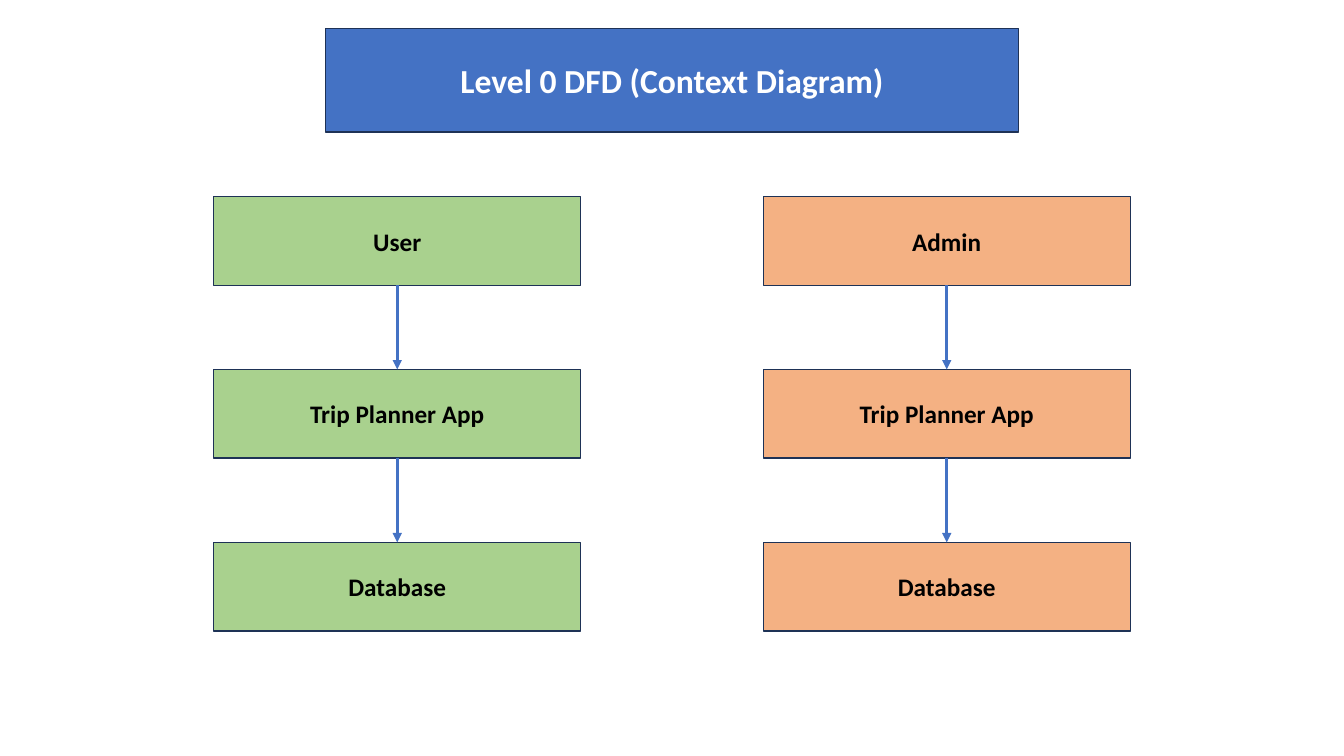
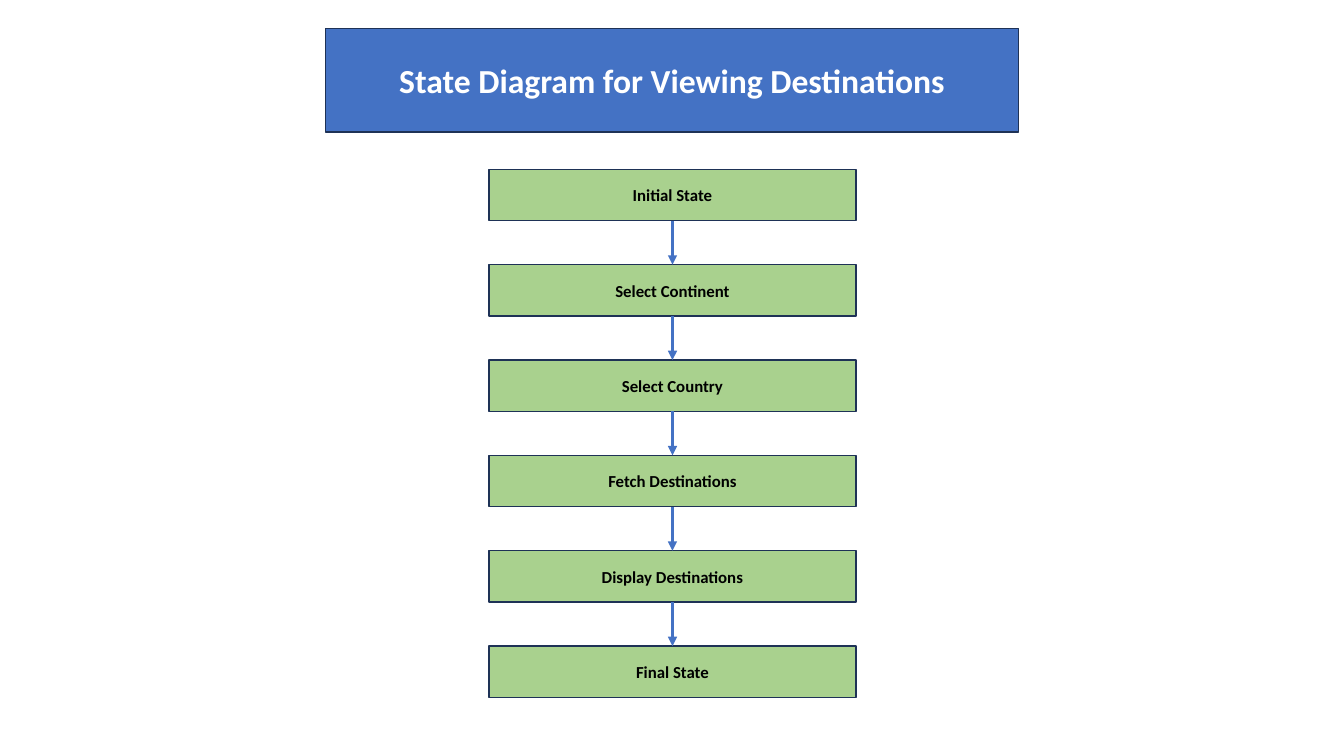
import dataclasses
import itertools

import pptx
import pptx.dml.color
import pptx.enum.shapes
import pptx.enum.text
import pptx.oxml
import pptx.oxml.ns
import pptx.util
from pptx.util import Inches


@dataclasses.dataclass(frozen=True)
class Theme:
    """Colours, font and sizes shared by the slides."""
    blue: str = "4472C4"
    navy: str = "1E3256"
    green: str = "A9D18E"
    orange: str = "F4B183"
    black: str = "000000"
    white: str = "FFFFFF"
    font: str = "Calibri"
    title_size: float = 24
    large_size: float = 18
    small_size: float = 12
    outline: float = 1
    arrow: float = 2.25


THEME = Theme()


def rgb(value):
    """Return the colour for a hex value."""
    return pptx.dml.color.RGBColor.from_string(value)


def style_box(sp, text, fill, color, size):
    """Fill and outline a box and set its centred bold text."""
    sp.fill.solid()
    sp.fill.fore_color.rgb = rgb(fill)
    sp.line.color.rgb = rgb(THEME.navy)
    sp.line.width = pptx.util.Pt(THEME.outline)
    tf = sp.text_frame
    tf.text = text
    tf.word_wrap = True
    tf.vertical_anchor = pptx.enum.text.MSO_ANCHOR.MIDDLE
    p = tf.paragraphs[0]
    p.alignment = pptx.enum.text.PP_ALIGN.CENTER
    font = p.runs[0].font
    font.name = THEME.font
    font.size = pptx.util.Pt(size)
    font.bold = True
    font.color.rgb = rgb(color)


def add_titled_slide(prs, title):
    """Add a slide with the blue title band."""
    s = prs.slides.add_slide(prs.slide_layouts[5])
    sp = s.shapes.title
    sp.left, sp.top = Inches(3.23), Inches(0.28)
    sp.width, sp.height = Inches(6.87), Inches(1.03)
    style_box(sp, title, THEME.blue, THEME.white, THEME.title_size)
    return s


def add_arrow(s, upper, lower):
    """Join the bottom of one box to the top of the next."""
    line = s.shapes.add_connector(
        pptx.enum.shapes.MSO_CONNECTOR.STRAIGHT, 0, 0, 0, 0)
    line.begin_connect(upper, 2)
    line.end_connect(lower, 0)
    line.line.color.rgb = rgb(THEME.blue)
    line.line.width = pptx.util.Pt(THEME.arrow)
    ln = line.line._get_or_add_ln()
    tail = pptx.oxml.parse_xml(
        f'<a:tailEnd {pptx.oxml.ns.nsdecls("a")} type="triangle"/>')
    ln.append(tail)
    effects = pptx.oxml.parse_xml(
        f'<a:effectLst {pptx.oxml.ns.nsdecls("a")}/>')
    ln.addnext(effects)


def add_flow(s, box, labels, step_height, fill, size):
    """Spread labelled steps evenly down a box and link them with arrows."""
    left, top, width, height = box
    pitch = (height - step_height) / (len(labels) - 1)
    steps = []
    for i, label in enumerate(labels):
        sp = s.shapes.add_shape(
            pptx.enum.shapes.MSO_SHAPE.RECTANGLE, Inches(left),
            Inches(top + i * pitch), Inches(width), Inches(step_height))
        sp.shadow.inherit = False
        style_box(sp, label, fill, THEME.black, size)
        steps.append(sp)
    for upper, lower in itertools.pairwise(steps):
        add_arrow(s, upper, lower)


def build_context_slide(prs):
    """Build the context diagram with its two flows."""
    s = add_titled_slide(prs, "Level 0 DFD (Context Diagram)")
    flows = [(2.12, "User", THEME.green), (7.57, "Admin", THEME.orange)]
    for left, actor, fill in flows:
        add_flow(s, (left, 1.95, 3.64, 4.31),
                 [actor, "Trip Planner App", "Database"],
                 0.88, fill, THEME.large_size)


def build_state_slide(prs):
    """Build the state diagram with its single flow."""
    s = add_titled_slide(prs, "State Diagram for Viewing Destinations")
    labels = ["Initial State", "Select Continent", "Select Country",
              "Fetch Destinations", "Display Destinations", "Final State"]
    add_flow(s, (4.85, 1.68, 3.64, 5.24), labels,
             0.51, THEME.green, THEME.small_size)


def main():
    """Build and save the presentation."""
    prs = pptx.Presentation()
    prs.slide_width, prs.slide_height = Inches(13.33), Inches(7.5)
    build_context_slide(prs)
    build_state_slide(prs)
    prs.save("out.pptx")


if __name__ == "__main__":
    main()
